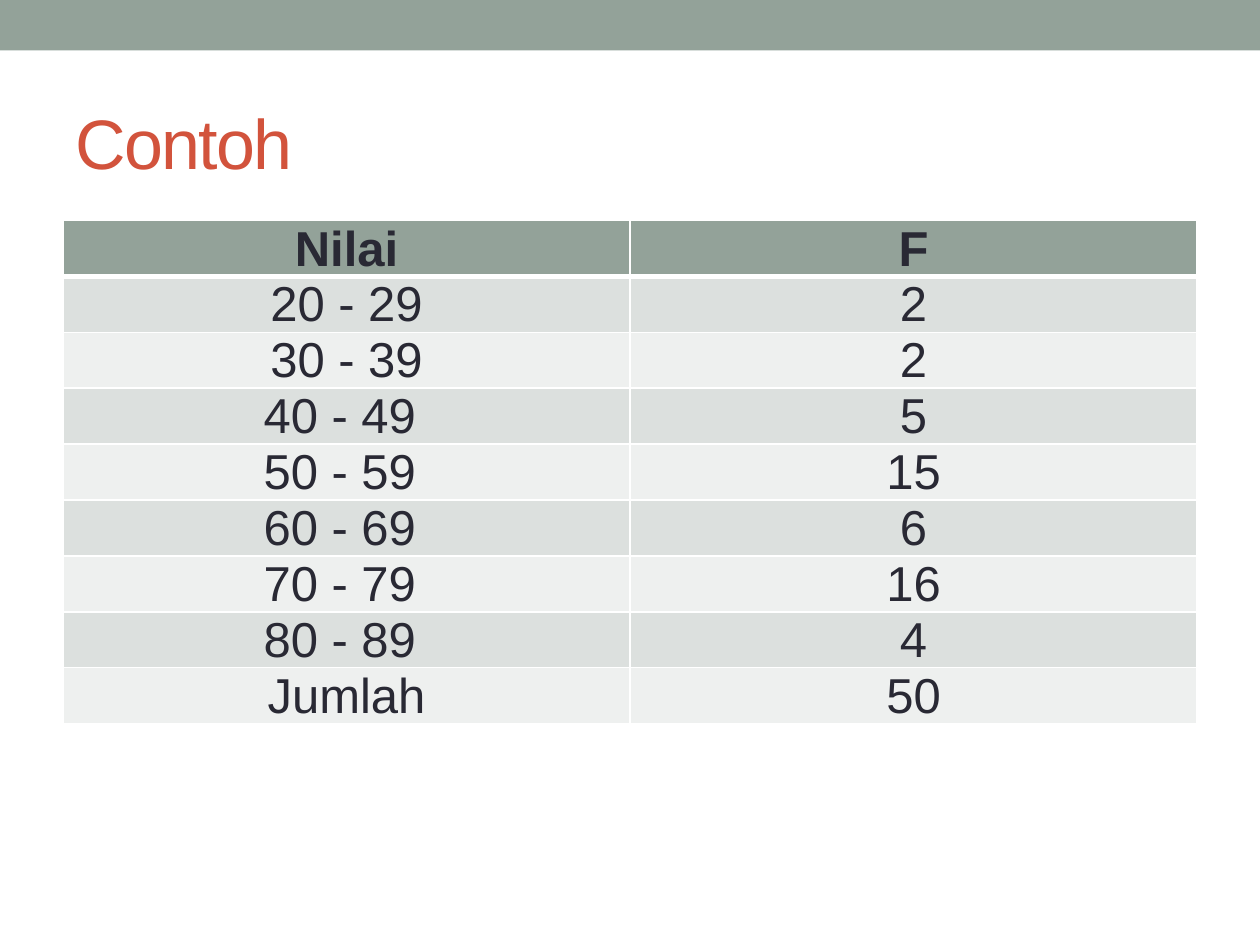
from lxml import etree
from pptx import Presentation
from pptx import util as u
from pptx.dml.color import RGBColor
from pptx.enum import shapes, text
from pptx.oxml.ns import qn

FONT = "Arial"
SAGE, RED, INK, WHITE = "93A299", "D2533C", "292934", "FFFFFF"
BANDS = ("DCE0DE", "EEF0EF")
ROWS = [
    ("Nilai", "F"),
    ("20 - 29", "2"),
    ("30 - 39", "2"),
    ("40 - 49 ", "5"),
    ("50 - 59 ", "15"),
    ("60 - 69 ", "6"),
    ("70 - 79 ", "16"),
    ("80 - 89 ", "4"),
    ("Jumlah", "50"),
]


def paint(target, color):
    """Give a fill a solid colour."""
    target.fill.solid()
    target.fill.fore_color.rgb = RGBColor.from_string(color)


def add_run(para, words, size, color, bold=False):
    """Add one formatted run and return it."""
    run = para.add_run()
    run.text = words
    font = run.font
    font.name, font.size, font.bold = FONT, u.Pt(size), bold
    font.color.rgb = RGBColor.from_string(color)
    return run


def add_bar(slide):
    """Draw the band along the top, behind the title."""
    bar = slide.shapes.add_shape(
        shapes.MSO_SHAPE.RECTANGLE, 0, 0, u.Inches(10), u.Inches(0.4))
    bar.shadow.inherit = False
    paint(bar, SAGE)
    bar.line.fill.background()
    slide.shapes.title._element.addprevious(bar._element)


def set_title(slide, words):
    """Place and format the title."""
    title = slide.shapes.title
    title.left, title.top = u.Inches(0.5), u.Inches(0.58)
    title.width, title.height = u.Inches(9), u.Inches(1.08)
    frame = title.text_frame
    frame.auto_size = text.MSO_AUTO_SIZE.NONE
    frame.vertical_anchor = text.MSO_ANCHOR.MIDDLE
    para = frame.paragraphs[0]
    para.alignment = text.PP_ALIGN.LEFT
    run = add_run(para, words, 40, RED)
    run.font._element.set("spc", "-100")


def add_edges(cell, widths):
    """Draw white cell borders; widths maps sides to points."""
    props = cell._tc.get_or_add_tcPr()
    for place, (side, width) in enumerate(widths.items()):
        line = etree.Element(qn("a:ln" + side), w=str(u.Pt(width)))
        fill = etree.SubElement(line, qn("a:solidFill"))
        etree.SubElement(fill, qn("a:srgbClr"), val=WHITE)
        props.insert(place, line)


def fill_cell(cell, words, row, col):
    """Write and format one table cell."""
    head = row == 0
    cell.margin_left = cell.margin_right = cell.margin_top = u.Inches(0.01)
    cell.margin_bottom = 0
    middle = col == 1 and 0 < row < len(ROWS) - 1
    cell.vertical_anchor = (
        text.MSO_ANCHOR.MIDDLE if middle else text.MSO_ANCHOR.TOP)
    paint(cell, SAGE if head else BANDS[(row - 1) % 2])
    add_edges(cell, {"L": 1, "R": 1, "T": 3 if row == 1 else 1,
                     "B": 3 if head else 1})
    para = cell.text_frame.paragraphs[0]
    para.alignment = text.PP_ALIGN.CENTER
    add_run(para, words, 28, INK, head)


def add_grid(slide):
    """Build the frequency table."""
    high = u.Inches(0.41)
    grid = slide.shapes.add_table(
        len(ROWS), 2, u.Inches(0.5), u.Inches(1.75),
        u.Inches(9), high * len(ROWS)).table
    for row, values in enumerate(ROWS):
        grid.rows[row].height = high
        for col, words in enumerate(values):
            fill_cell(grid.cell(row, col), words, row, col)


def main():
    """Build and save the slide."""
    deck = Presentation()
    deck.slide_width, deck.slide_height = u.Inches(10), u.Inches(7.5)
    slide = deck.slides.add_slide(deck.slide_layouts[5])
    paint(slide.background, WHITE)
    add_bar(slide)
    set_title(slide, "Contoh")
    add_grid(slide)
    deck.save("out.pptx")


main()
